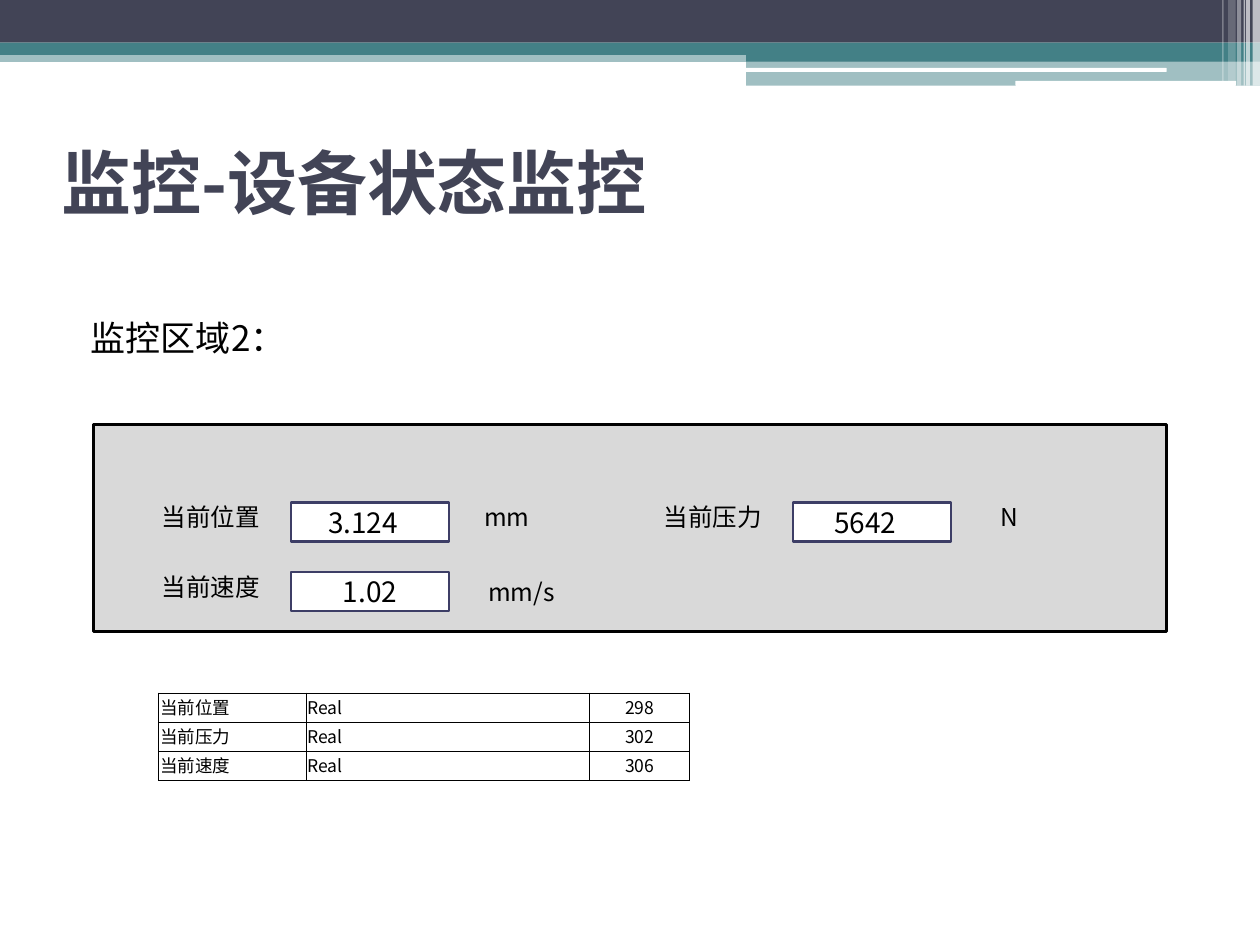
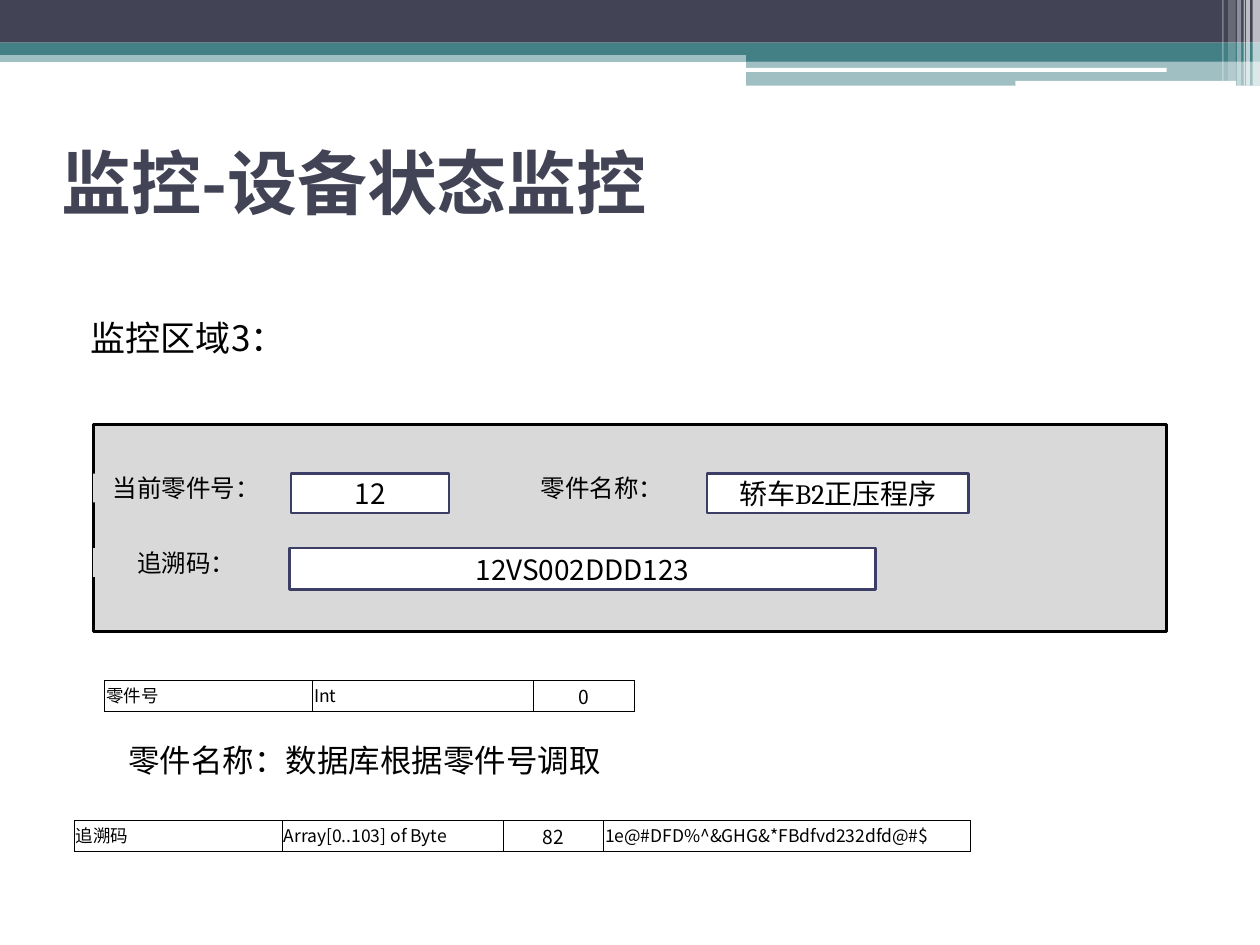
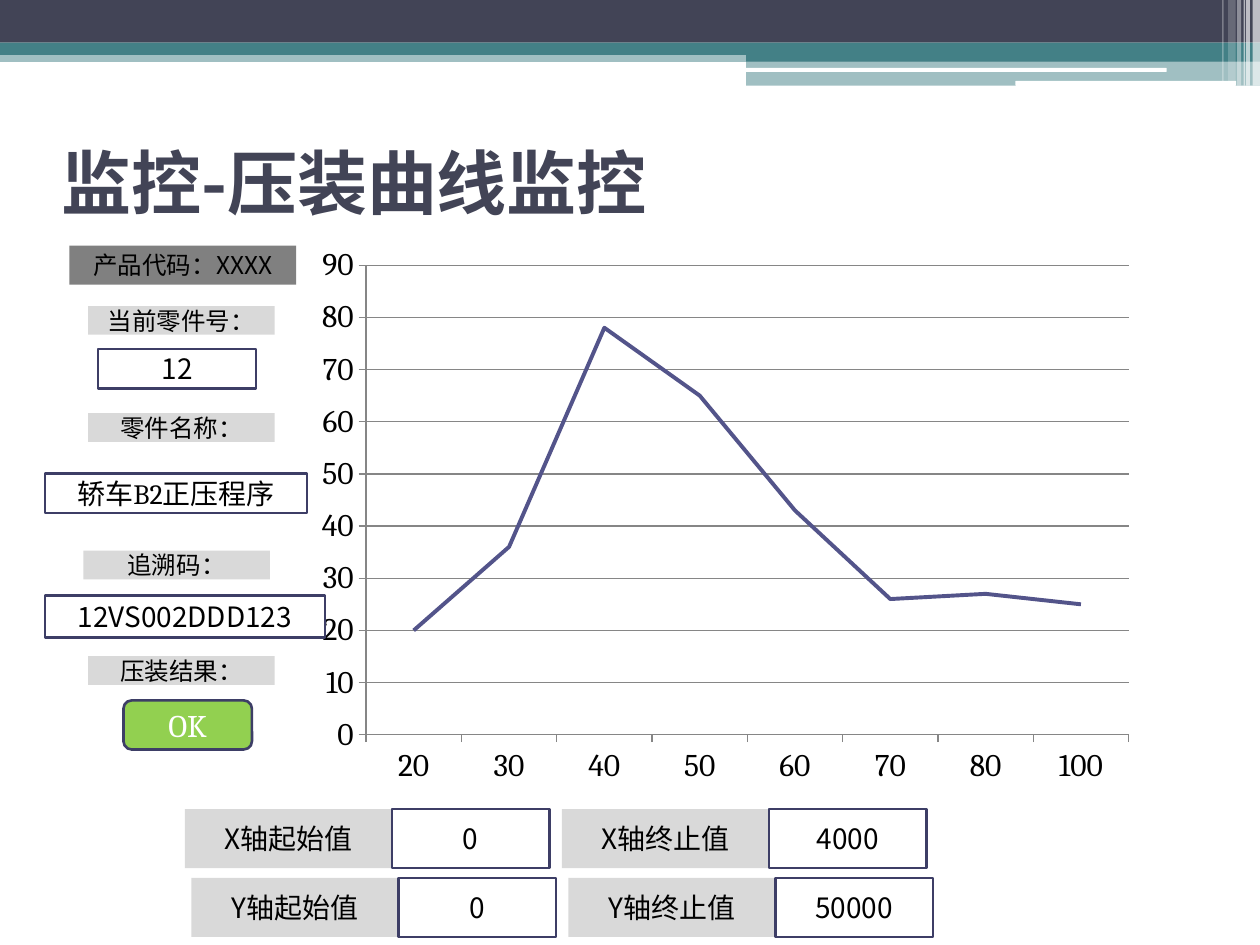
from dataclasses import dataclass
from typing import Optional

from lxml.etree import SubElement
from pptx import Presentation
from pptx.chart.data import CategoryChartData
from pptx.dml.color import RGBColor
from pptx.enum.chart import XL_CHART_TYPE as ChartType, XL_TICK_MARK as TickMark
from pptx.enum.shapes import MSO_SHAPE as Preset
from pptx.enum.text import MSO_ANCHOR as Anchor, PP_ALIGN as Align
from pptx.oxml import parse_xml
from pptx.oxml.ns import nsdecls, qn
from pptx.util import Cm, Pt

# Colours and fonts
NAVY = RGBColor(0x42, 0x44, 0x56)
TEAL = RGBColor(0x43, 0x80, 0x86)
INDIGO = RGBColor(0x53, 0x54, 0x8A)
PURPLE = RGBColor(0xA0, 0x4D, 0xA3)
OUTLINE = RGBColor(0x3D, 0x3E, 0x66)
GREEN = RGBColor(0x92, 0xD0, 0x50)
GRID = RGBColor(0x86, 0x86, 0x86)
GRAY = RGBColor(0x80, 0x80, 0x80)
PANEL_GRAY = RGBColor(0xD9, 0xD9, 0xD9)
WHITE = RGBColor(0xFF, 0xFF, 0xFF)
BLACK = RGBColor(0x00, 0x00, 0x00)
SANS, SERIF, LATIN = "Noto Sans CJK SC", "Cambria", "Arial"

PART_NAME = "轿车B2正压程序"
TRACE_CODE = "12VS002DDD123"


@dataclass(frozen=True)
class TextStyle:
    size: float
    name: str = SANS
    color: RGBColor = BLACK
    bold: bool = False


@dataclass(frozen=True)
class TileStyle:
    fill: RGBColor
    text: TextStyle
    line: Optional[RGBColor] = None
    preset: Preset = Preset.RECTANGLE


@dataclass(frozen=True)
class Tile:
    left: float
    top: float
    width: float
    height: float
    text: str
    style: TileStyle
    right_inset: float = 0.25


@dataclass(frozen=True)
class Band:
    left: float
    top: float
    width: float
    height: float
    color: RGBColor = WHITE
    opacity: int = 100
    preset: Preset = Preset.RECTANGLE


TITLE = TextStyle(40, color=NAVY, bold=True)
HEADING = TextStyle(20)
NOTE = TextStyle(18, SERIF)
LABEL = TileStyle(PANEL_GRAY, TextStyle(14))
FIELD = TileStyle(WHITE, TextStyle(16), OUTLINE)
SERIF_FIELD = TileStyle(WHITE, TextStyle(16, SERIF), OUTLINE)
PANEL = TileStyle(PANEL_GRAY, TextStyle(14), BLACK)
CODE = TileStyle(GRAY, TextStyle(14))
AXIS_LABEL = TileStyle(PANEL_GRAY, TextStyle(16))
BUTTON = TileStyle(GREEN, TextStyle(18, SERIF, WHITE), OUTLINE, Preset.ROUNDED_RECTANGLE)

BANDS = [
    Band(0, 1.02, 25.4, 0.23, TEAL, 50),
    Band(0, 0, 25.4, 0.86, NAVY),
    Band(0, 0.86, 25.4, 0.25, TEAL),
    Band(15.04, 0.99, 10.36, 0.25, TEAL),
    Band(15.04, 1.23, 10.36, 0.5, TEAL, 50),
    Band(15.02, 1.37, 8.5, 0.08, preset=Preset.ROUNDED_RECTANGLE),
    Band(20.47, 1.63, 4.45, 0.1, preset=Preset.ROUNDED_RECTANGLE),
    Band(25.25, 0, 0.15, 1.73, opacity=65),
    Band(25.12, 0, 0.08, 1.73, opacity=65),
    Band(25.07, 0, 0.03, 1.73, opacity=60),
    Band(24.94, 0, 0.08, 1.73, opacity=40),
    Band(24.76, 0, 0.15, 1.63, opacity=20),
    Band(24.64, 0, 0.03, 1.63, opacity=30),
]


# Drawing helpers
def write(frame, text: str, style: TextStyle, align: Align = Align.LEFT):
    para = frame.paragraphs[0]
    para.alignment = align
    span = para.add_run()
    span.text = text
    values = {"size": Pt(style.size), "name": style.name, "bold": style.bold}
    for key, value in values.items():
        setattr(span.font, key, value)
    span.font.color.rgb = style.color
    east_asian = SubElement(span.font._element, qn("a:ea"))
    east_asian.set("typeface", SANS)
    return para


def add_preset(page, item, preset: Preset, fill: RGBColor):
    shape = page.shapes.add_shape(
        preset, Cm(item.left), Cm(item.top), Cm(item.width), Cm(item.height))
    shape.shadow.inherit = False
    shape.fill.solid()
    shape.fill.fore_color.rgb = fill
    shape.line.fill.background()
    return shape


def draw_band(page, band: Band) -> None:
    shape = add_preset(page, band, band.preset, band.color)
    if band.opacity < 100:
        color = shape.element.spPr.find(".//" + qn("a:srgbClr"))
        SubElement(color, qn("a:alpha")).set("val", str(band.opacity * 1000))


def draw_tile(page, tile: Tile) -> None:
    style = tile.style
    shape = add_preset(page, tile, style.preset, style.fill)
    if style.line is not None:
        shape.line.color.rgb = style.line
        shape.line.width = Pt(1.5)
    if tile.text:
        frame = shape.text_frame
        frame.word_wrap = True
        frame.vertical_anchor = Anchor.MIDDLE
        frame.margin_right = Cm(tile.right_inset)
        write(frame, tile.text, style.text, Align.CENTER)


def draw_text(page, left: float, top: float, width: float, height: float,
              text: str, style: TextStyle, anchor: Anchor = Anchor.TOP):
    box = page.shapes.add_textbox(Cm(left), Cm(top), Cm(width), Cm(height))
    box.text_frame.word_wrap = True
    box.text_frame.vertical_anchor = anchor
    return write(box.text_frame, text, style)


def draw_heading(page, text: str, height: float) -> None:
    para = draw_text(page, 1.27, 6.25, 22.86, height, text, HEADING)
    properties = para._p.get_or_add_pPr()
    properties.set("marL", str(Cm(1.02)))
    properties.set("indent", str(Cm(-0.71)))


def add_page(deck, title: str):
    page = deck.slides.add_slide(deck.slide_layouts[6])
    for band in BANDS:
        draw_band(page, band)
    draw_text(page, 0.99, 2.18, 22.86, 2.97, title, TITLE, Anchor.MIDDLE)
    return page


def draw_panel(page) -> None:
    draw_tile(page, Tile(1.88, 8.56, 21.64, 4.17, "", PANEL))


def add_borders(cell) -> None:
    properties = cell._tc.get_or_add_tcPr()
    for position, side in enumerate(("lnL", "lnR", "lnT", "lnB")):
        properties.insert(position, parse_xml(
            f'<a:{side} {nsdecls("a")} w="{Pt(0.5)}"><a:solidFill>'
            f'<a:srgbClr val="{BLACK}"/></a:solidFill></a:{side}>'))


def draw_table(page, left: float, top: float, row_height: float,
               widths: list[float], rows: list[list[str]], number_size: float) -> None:
    table = page.shapes.add_table(
        len(rows), len(widths), Cm(left), Cm(top),
        Cm(sum(widths)), Cm(row_height * len(rows))).table
    table.first_row = table.horz_banding = False
    for column, width in zip(table.columns, widths):
        column.width = Cm(width)
    margins = {"margin_left": 0.03, "margin_right": 0.03,
               "margin_top": 0.03, "margin_bottom": 0.13}
    for row_index, row in enumerate(rows):
        table.rows[row_index].height = Cm(row_height)
        for column_index, text in enumerate(row):
            cell = table.cell(row_index, column_index)
            for key, value in margins.items():
                setattr(cell, key, Cm(value))
            is_number = column_index == 2
            cell.vertical_anchor = Anchor.MIDDLE if is_number else Anchor.BOTTOM
            cell.fill.background()
            add_borders(cell)
            style = TextStyle(number_size if is_number else 10,
                              SANS if column_index else LATIN)
            write(cell.text_frame, text, style, Align.CENTER if is_number else Align.LEFT)


def draw_curve(page) -> None:
    data = CategoryChartData()
    data.categories = ["20", "30", "40", "50", "60", "70", "80", "100"]
    data.add_series("Series 1", [20, 36, 78, 65, 43, 26, 27, 25])
    for name in ("Series 2", "Series 3"):
        data.add_series(name, [None] * 8)
    chart = page.shapes.add_chart(
        ChartType.LINE, Cm(6.15), Cm(4.75), Cm(16.94), Cm(11.28), data).chart
    chart.has_legend = chart.has_title = False
    for key, value in {"size": Pt(18), "name": SERIF}.items():
        setattr(chart.font, key, value)
    chart.font.color.rgb = BLACK
    chart.plots[0].vary_by_categories = False
    for series, color in zip(chart.plots[0].series, (INDIGO, TEAL, PURPLE)):
        series.smooth = False
        series.format.line.color.rgb = color
        series.format.line.width = Pt(2.25)
    values = chart.value_axis
    scale = {"minimum_scale": 0, "maximum_scale": 90, "major_unit": 10,
             "has_major_gridlines": True}
    for key, value in scale.items():
        setattr(values, key, value)
    for axis in (values, chart.category_axis):
        axis.major_tick_mark = TickMark.OUTSIDE
        axis.minor_tick_mark = TickMark.NONE
    for part in (values, chart.category_axis, values.major_gridlines):
        part.format.line.color.rgb = GRID
        part.format.line.width = Pt(0.75)


# Slides
def build_readings(deck) -> None:
    page = add_page(deck, "监控-设备状态监控")
    draw_heading(page, "监控区域2：", 12.01)
    draw_panel(page)
    for shift, name, value, unit in ((0, "当前位置", "3.124", "mm"),
                                     (10.12, "当前压力", "5642", "N")):
        draw_tile(page, Tile(2.87 + shift, 10.13, 2.77, 0.58, name, LABEL))
        draw_tile(page, Tile(5.87 + shift, 10.13, 3.18, 0.79, value, FIELD, 0.53))
        draw_tile(page, Tile(9.42 + shift, 10.13, 1.6, 0.58, unit, LABEL))
    draw_tile(page, Tile(2.87, 11.53, 2.77, 0.58, "当前速度", LABEL))
    draw_tile(page, Tile(5.87, 11.53, 3.18, 0.79, "1.02", FIELD))
    draw_tile(page, Tile(9.42, 11.73, 2.18, 0.41, "mm/s", LABEL))
    draw_table(page, 3.2, 13.97, 0.58, [2.97, 5.72, 2.01],
               [["当前位置", "Real", "298"],
                ["当前压力", "Real", "302"],
                ["当前速度", "Real", "306"]], 10)


def build_part(deck) -> None:
    page = add_page(deck, "监控-设备状态监控")
    draw_heading(page, "监控区域3：", 1.19)
    draw_panel(page)
    for tile in (
        Tile(1.88, 9.55, 3.76, 0.58, "当前零件号：", LABEL),
        Tile(5.87, 9.55, 3.18, 0.79, "12", FIELD),
        Tile(10.26, 9.55, 3.76, 0.58, "零件名称：", LABEL),
        Tile(14.25, 9.55, 5.28, 0.79, PART_NAME, SERIF_FIELD),
        Tile(1.88, 11.05, 3.76, 0.58, "追溯码：", LABEL),
        Tile(5.84, 11.05, 11.81, 0.84, TRACE_CODE, FIELD),
    ):
        draw_tile(page, tile)
    widths = [4.19, 4.45, 2.03]
    draw_table(page, 2.11, 13.72, 0.63, widths, [["零件号", "Int", "0"]], 11)
    draw_text(page, 2.34, 14.81, 13.59, 1.02, "零件名称：数据库根据零件号调取", NOTE)
    draw_table(page, 1.5, 16.54, 0.63, widths + [7.39],
               [["追溯码", "Array[0..103] of Byte", "82",
                 "1e@#DFD%^&GHG&*FBdfvd232dfd@#$"]], 11)


def build_curve(deck) -> None:
    page = add_page(deck, "监控-压装曲线监控")
    draw_curve(page)
    for tile in (
        Tile(1.4, 4.95, 4.57, 0.79, "产品代码：XXXX", CODE),
        Tile(1.78, 6.17, 3.76, 0.58, "当前零件号：", LABEL),
        Tile(1.98, 7.04, 3.18, 0.79, "12", FIELD),
        Tile(1.78, 8.33, 3.76, 0.58, "零件名称：", LABEL),
        Tile(0.91, 9.55, 5.28, 0.79, PART_NAME, SERIF_FIELD),
        Tile(1.68, 11.1, 3.76, 0.58, "追溯码：", LABEL),
        Tile(0.91, 12.01, 5.64, 0.84, TRACE_CODE, FIELD),
        Tile(1.78, 13.23, 3.76, 0.58, "压装结果：", LABEL),
        Tile(2.49, 14.12, 2.59, 0.99, "OK", BUTTON),
    ):
        draw_tile(page, tile)
    # Axis limits, one row for each axis
    for row, (axis, end) in enumerate((("X", "4000"), ("Y", "50000"))):
        for column, (name, value) in enumerate((("起始值", "0"), ("终止值", end))):
            left = 3.73 + 0.13 * row + 7.6 * column
            top = 16.31 + 1.39 * row
            draw_tile(page, Tile(left, top, 4.17, 1.19, f"{axis}轴{name}", AXIS_LABEL))
            draw_tile(page, Tile(left + 4.17, top, 3.18, 1.19, value, FIELD))


def main() -> None:
    deck = Presentation()
    deck.slide_width, deck.slide_height = Cm(25.4), Cm(19.05)
    for build in (build_readings, build_part, build_curve):
        build(deck)
    deck.save("out.pptx")


if __name__ == "__main__":
    main()
